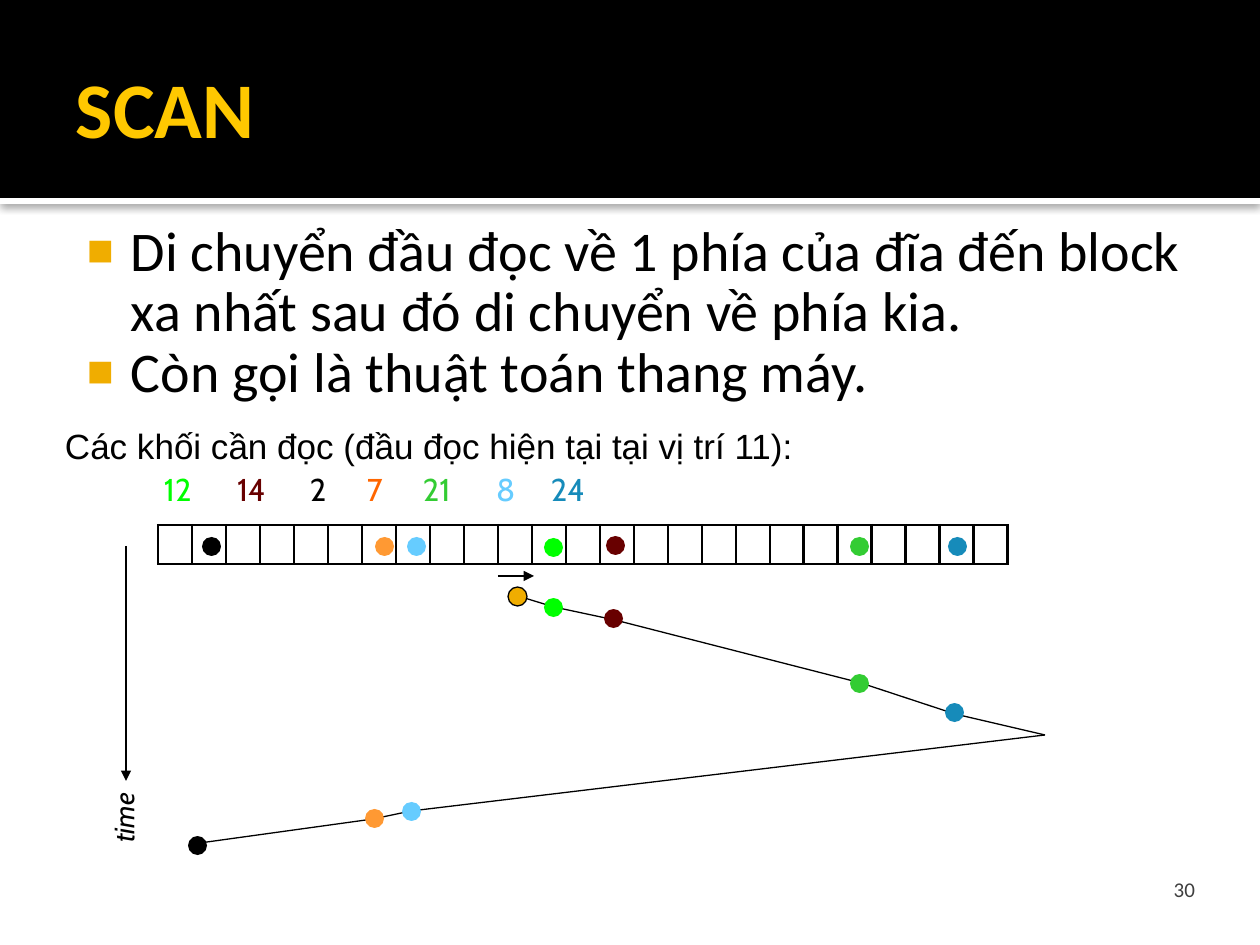
"""Build the slide that explains the SCAN disk scheduling algorithm."""
import lxml.etree
import pptx
import pptx.dml.color
import pptx.enum.shapes
import pptx.enum.text
import pptx.oxml.ns
import pptx.util

SCALE = 914400 / 126
DOT = 19
COLORS = {
    "black": "000000", "white": "FFFFFF", "title": "FFC800", "amber": "F0AD00",
    "gray": "3F3F3F", "lime": "00FF00", "maroon": "680000", "vivid": "FF6600",
    "orange": "FF9933", "green": "33CC33", "sky": "66CCFF", "blue": "168BBA",
}
TITLE = {"name": "Calibri", "size": 45, "bold": True}
BODY = {"name": "Calibri", "size": 32}
NUMBER = {"name": "Calibri", "size": 12}
LABEL = {"name": "Cabin", "size": 18}
AXIS = {"name": "Cabin", "size": 16, "italic": True}
CAPTION = {"name": "Arial", "size": 20}
ANCHOR = pptx.enum.text.MSO_ANCHOR
ALIGN = pptx.enum.text.PP_ALIGN

# label, label colour, dot colour, label left, cell dot, track dot
REQUESTS = [
    ("12", "lime", "lime", 151, (544, 538), (544, 598)),
    ("14", "maroon", "maroon", 224, (606, 536), (604, 609)),
    ("2", "black", "black", 297, (202, 537), (188, 836)),
    ("7", "vivid", "orange", 354, (375, 537), (365, 809)),
    ("21", "green", "green", 410, (850, 537), (850, 674)),
    ("8", "sky", "sky", 483, (407, 537), (402, 802)),
    ("24", "blue", "blue", 538, (948, 537), (945, 703)),
]
TRACK = [(518, 596), (554, 607), (615, 620), (861, 683), (955, 714),
         (1045, 735), (411, 811), (373, 819), (200, 843)]


def px(*values):
    """Turn pixel lengths into EMU."""
    return [pptx.util.Emu(round(value * SCALE)) for value in values]


def rgb(name):
    """Look up a named colour."""
    return pptx.dml.color.RGBColor.from_string(COLORS[name])


def add_xml(parent, tag, **attributes):
    """Append a drawing element to a parent element."""
    return lxml.etree.SubElement(parent, pptx.oxml.ns.qn(tag), attributes)


class SlideBuilder:
    """Hold the line style and the current slide."""

    def __init__(self, slide, line_color="black", line_width=0.75):
        """Remember the slide and its line style."""
        self.slide = slide
        self.line_color = line_color
        self.line_width = line_width

    def shape(self, kind, box, fill, outlined=False):
        """Add a filled preset shape."""
        shape = self.slide.shapes.add_shape(kind, *px(*box))
        shape.shadow.inherit = False
        shape.fill.solid()
        shape.fill.fore_color.rgb = rgb(fill)
        if outlined:
            self.style_line(shape.line)
        else:
            shape.line.fill.background()
        return shape

    def band(self, box, fill, shadowed=False):
        """Add a full-width band, with a soft shadow below it if wanted."""
        shape = self.shape(pptx.enum.shapes.MSO_SHAPE.RECTANGLE, box, fill)
        if shadowed:
            effects = shape._element.spPr.find(pptx.oxml.ns.qn("a:effectLst"))
            shadow = add_xml(effects, "a:outerShdw", blurRad="63500", dist="10160",
                             dir="5400000", algn="tl", rotWithShape="0")
            color = add_xml(shadow, "a:srgbClr", val=COLORS["black"])
            add_xml(color, "a:alpha", val="60000")

    def dot(self, position, fill, outlined=False):
        """Add a round marker."""
        self.shape(pptx.enum.shapes.MSO_SHAPE.OVAL, (*position, DOT, DOT), fill, outlined)

    def style_line(self, line):
        """Apply the line style."""
        line.color.rgb = rgb(self.line_color)
        line.width = pptx.util.Pt(self.line_width)

    def line(self, start, end, arrow=False):
        """Add a straight line, with an arrowhead at its end if wanted."""
        connector = self.slide.shapes.add_connector(
            pptx.enum.shapes.MSO_CONNECTOR.STRAIGHT, *px(*start, *end))
        self.style_line(connector.line)
        if arrow:
            add_xml(connector.line._get_or_add_ln(), "a:tailEnd", type="triangle")
        add_xml(connector._element.spPr, "a:effectLst")

    def text(self, box, paragraphs, style, color, insets=(13, 6, 13, 6),
             anchor=ANCHOR.TOP, align=ALIGN.LEFT, bullet=None, rotation=0):
        """Add a text box with one style for all its paragraphs."""
        shape = self.slide.shapes.add_textbox(*px(*box))
        shape.rotation = rotation
        frame = shape.text_frame
        left, top, right, bottom = px(*insets)
        layout = {"margin_left": left, "margin_top": top, "margin_right": right,
                  "margin_bottom": bottom, "word_wrap": True, "vertical_anchor": anchor,
                  "auto_size": pptx.enum.text.MSO_AUTO_SIZE.NONE}
        for name, value in layout.items():
            setattr(frame, name, value)
        for index, content in enumerate(paragraphs):
            paragraph = frame.add_paragraph() if index else frame.paragraphs[0]
            paragraph.alignment = align
            if bullet:
                self.bullet(paragraph, bullet)
            run = paragraph.add_run()
            run.text = content
            for name, value in style.items():
                setattr(run.font, name, pptx.util.Pt(value) if name == "size" else value)
            run.font.color.rgb = rgb(color)

    def bullet(self, paragraph, color):
        """Give a paragraph a square bullet and a hanging indent."""
        paragraph.line_spacing = 0.9
        properties = paragraph._p.get_or_add_pPr()
        margin, indent = px(60, -44)
        properties.set("marL", str(int(margin)))
        properties.set("indent", str(int(indent)))
        add_xml(add_xml(properties, "a:buClr"), "a:srgbClr", val=COLORS[color])
        add_xml(properties, "a:buSzPct", val="80000")
        add_xml(properties, "a:buFont", typeface="Arial")
        add_xml(properties, "a:buChar", char="■")

    def strip(self, left, top, columns, cell_width, height):
        """Add a one-row table of empty, bordered cells."""
        box = px(left, top, columns * cell_width, height)
        table = self.slide.shapes.add_table(1, columns, *box).table
        table.first_row = table.horz_banding = False
        for column in table.columns:
            column.width = px(cell_width)[0]
        for cell in table.iter_cells():
            for side in ("left", "top", "right", "bottom"):
                setattr(cell, f"margin_{side}", 0)
            properties = cell._tc.get_or_add_tcPr()
            for tag in ("a:lnL", "a:lnR", "a:lnT", "a:lnB"):
                border = add_xml(properties, tag, w=str(int(pptx.util.Pt(1.5))))
                add_xml(add_xml(border, "a:solidFill"), "a:srgbClr", val=COLORS["black"])
            cell.fill.solid()
            cell.fill.fore_color.rgb = rgb("white")


def main():
    """Build and save the slide."""
    presentation = pptx.Presentation()
    presentation.slide_width, presentation.slide_height = px(1260, 945)
    builder = SlideBuilder(presentation.slides.add_slide(presentation.slide_layouts[6]))

    builder.band((0, 198, 1260, 6), "white", shadowed=True)
    builder.band((0, 0, 1260, 198), "black")
    builder.text((63, 21, 1134, 173), ["SCAN"], TITLE, "title", (13, 6, 6, 6),
                 anchor=ANCHOR.MIDDLE)
    builder.text((63, 210, 1134, 638), [
        "Di chuyển đầu đọc về 1 phía của đĩa đến block xa nhất sau đó di chuyển về phía kia.",
        "Còn gọi là thuật toán thang máy.",
    ], BODY, "black", (8, 13, 13, 6), bullet="amber")
    builder.text((1124, 830, 84, 72), ["30"], NUMBER, "gray", (13, 6, 13, 0),
                 anchor=ANCHOR.BOTTOM, align=ALIGN.RIGHT)

    builder.strip(158, 525, columns=25, cell_width=34, height=39)
    for label, label_color, dot_color, left, cell_dot, _ in REQUESTS:
        builder.text((left, 464, 72, 50), [label], LABEL, label_color)
        builder.dot(cell_dot, dot_color)

    builder.line((498, 576), (534, 576), arrow=True)
    for start, end in zip(TRACK, TRACK[1:]):
        builder.line(start, end)
    builder.dot((508, 587), "amber", outlined=True)
    for request in REQUESTS:
        builder.dot(request[-1], request[2])

    builder.text((52, 418, 800, 54), ["Các khối cần đọc (đầu đọc hiện tại tại vị trí 11):"],
                 CAPTION, "black")
    builder.text((79, 787, 90, 47), ["time"], AXIS, "black", rotation=270)
    builder.line((126, 546), (126, 781), arrow=True)
    presentation.save("out.pptx")


if __name__ == "__main__":
    main()
